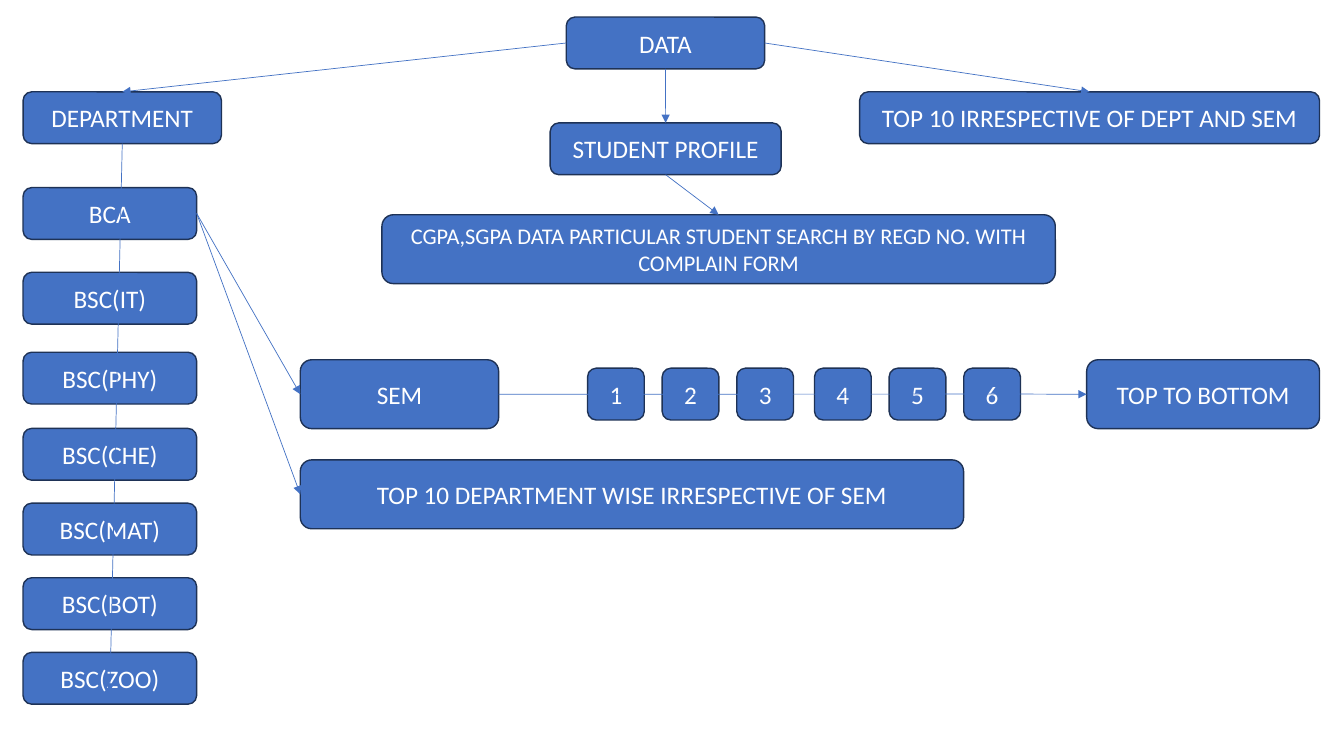
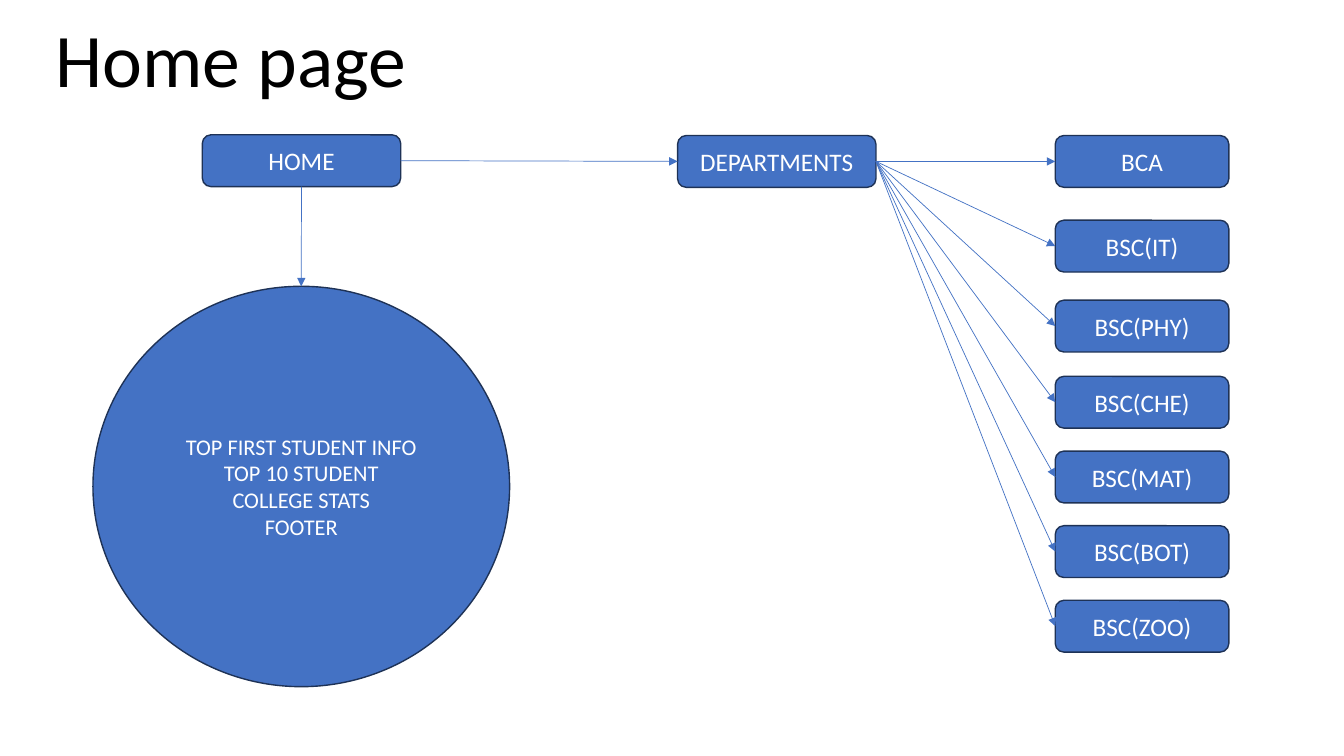
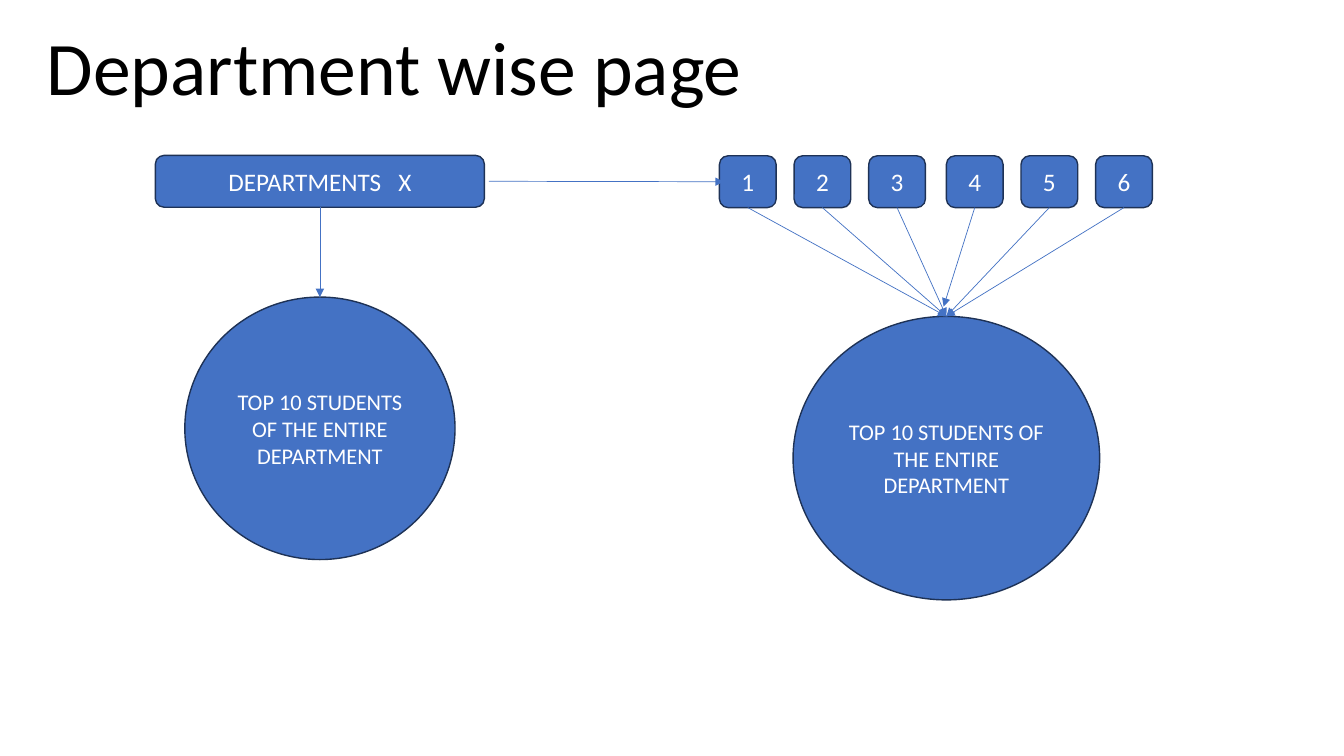
"""Builds three flow diagrams of a college results site."""
from dataclasses import dataclass

import lxml.etree
import pptx
import pptx.dml.color
import pptx.enum.shapes
import pptx.enum.text
import pptx.oxml.ns
import pptx.util

Pt = pptx.util.Pt
RGB = pptx.dml.color.RGBColor
SHAPE = pptx.enum.shapes.MSO_SHAPE
qn = pptx.oxml.ns.qn
TOP, LEFT, BOTTOM, RIGHT = range(4)

COURSES = ("BCA", "BSC(IT)", "BSC(PHY)", "BSC(CHE)", "BSC(MAT)", "BSC(BOT)", "BSC(ZOO)")
COURSE_OFFSETS = (0, 60.5, 117.6, 172, 225.4, 278.7, 332)
BOX_W, COURSE_W, NUMBER_W = 141.7, 124, 40.5
BOX_H, TALL_H = 37, 49.2


@dataclass(frozen=True)
class Theme:
    font: str = "Calibri"
    fill: RGB = RGB(0x44, 0x72, 0xC4)
    outline: RGB = RGB(0x1E, 0x32, 0x56)
    label: RGB = RGB(0xFF, 0xFF, 0xFF)
    title: RGB = RGB(0, 0, 0)
    title_size: int = 54
    label_size: int = 18
    detail_size: int = 16
    outline_width: float = 1
    link_width: float = 0.5


class Diagram:
    def __init__(self, prs, theme):
        self.prs, self.theme, self.s = prs, theme, None

    def slide(self):
        self.s = self.prs.slides.add_slide(self.prs.slide_layouts[6])

    def add_text(self, tf, lines, size, color):
        for i, line in enumerate(lines):
            p = tf.paragraphs[0] if i == 0 else tf.add_paragraph()
            p.alignment = pptx.enum.text.PP_ALIGN.CENTER
            for text in (line,) if isinstance(line, str) else line:
                r = p.add_run()
                r.text = text
                r.font.name = self.theme.font
                r.font.size = Pt(size)
                r.font.color.rgb = color

    def title(self, text, x, y, w):
        sp = self.s.shapes.add_textbox(Pt(x), Pt(y), Pt(w), Pt(72.7))
        tf = sp.text_frame
        tf.word_wrap = False
        tf.auto_size = pptx.enum.text.MSO_AUTO_SIZE.SHAPE_TO_FIT_TEXT
        self.add_text(tf, [text], self.theme.title_size, self.theme.title)

    def box(self, lines, x, y, w=BOX_W, h=BOX_H, size=None, kind=SHAPE.ROUNDED_RECTANGLE):
        sp = self.s.shapes.add_shape(kind, Pt(x), Pt(y), Pt(w), Pt(h))
        sp.shadow.inherit = False
        sp.fill.solid()
        sp.fill.fore_color.rgb = self.theme.fill
        sp.line.color.rgb = self.theme.outline
        sp.line.width = Pt(self.theme.outline_width)
        tf = sp.text_frame
        tf.word_wrap = True
        tf.vertical_anchor = pptx.enum.text.MSO_ANCHOR.MIDDLE
        self.add_text(tf, lines, size or self.theme.label_size, self.theme.label)
        return sp

    def circle(self, lines, x, y, w, h):
        return self.box(lines, x, y, w, h, self.theme.detail_size, SHAPE.OVAL)

    def courses(self, x, y):
        return [self.box([name], x, y + dy, COURSE_W) for name, dy in zip(COURSES, COURSE_OFFSETS)]

    def semesters(self, x, y):
        return [self.box([str(i + 1)], x + 53.3 * i + 2.2 * (i // 3), y, NUMBER_W) for i in range(6)]

    def link(self, start, start_side, end, end_side):
        c = self.s.shapes.add_connector(pptx.enum.shapes.MSO_CONNECTOR.STRAIGHT, 0, 0, 0, 0)
        if isinstance(start, tuple):
            c.begin_x, c.begin_y = map(Pt, start)
        else:
            c.begin_connect(start, start_side)
        if isinstance(end, tuple):
            c.end_x, c.end_y = map(Pt, end)
        else:
            c.end_connect(end, end_side)
        c.line.color.rgb = self.theme.fill
        c.line.width = Pt(self.theme.link_width)
        props = c._element.spPr
        lxml.etree.SubElement(props.find(qn("a:ln")), qn("a:tailEnd"), type="triangle")
        lxml.etree.SubElement(props, qn("a:effectLst"))


def data_map(d):
    d.slide()
    data = d.box(["DATA"], 404.5, 12.2)
    sem = d.box(["SEM"], 214.5, 257, h=TALL_H)
    numbers = d.semesters(419.7, 263)
    department = d.box(["DEPARTMENT"], 16.5, 65.6)
    courses = d.courses(16.5, 134)
    overall = d.box(["TOP 10 IRRESPECTIVE OF DEPT AND SEM"], 614, 65.6, 328.5)
    ranking = d.box(["TOP TO BOTTOM"], 776.2, 257, 166.3, TALL_H)
    by_department = d.box(["TOP 10 DEPARTMENT WISE IRRESPECTIVE OF SEM"], 214.5, 328.5, 473.8, TALL_H)
    profile = d.box(["STUDENT PROFILE"], 393, 87.8, 165)
    search = d.box(["CGPA,SGPA DATA PARTICULAR STUDENT SEARCH BY REGD NO. WITH COMPLAIN FORM"],
                   272.8, 153.4, 481, TALL_H, d.theme.detail_size)
    for link in (
        (data, LEFT, department, TOP),
        (data, RIGHT, overall, TOP),
        (data, BOTTOM, profile, TOP),
        (profile, BOTTOM, search, TOP),
        (department, BOTTOM, (78.5, 494), None),
        (courses[0], RIGHT, sem, LEFT),
        (courses[0], RIGHT, by_department, LEFT),
        (sem, RIGHT, numbers[-1], RIGHT),
        (numbers[-1], RIGHT, ranking, LEFT),
    ):
        d.link(*link)


def home_page(d):
    d.slide()
    home = d.box(["HOME"], 144.5, 96.3)
    contents = d.circle(["TOP FIRST STUDENT INFO", "TOP 10 STUDENT", "COLLEGE STATS", "FOOTER"],
                        66.4, 204.5, 297.6, 286)
    departments = d.box(["DEPARTMENTS"], 484, 96.8)
    d.link(home, BOTTOM, contents, TOP)
    d.link(home, RIGHT, departments, LEFT)
    for course in d.courses(753.8, 96.8):
        d.link(departments, RIGHT, course, LEFT)
    d.title("Home page", 31, 5, 268)


def department_page(d):
    d.slide()
    department = d.box([("DEPARTMENTS", " ", "X")], 111, 111, 235)
    space = department.text_frame.paragraphs[0].runs[1]
    space._r.get_or_add_rPr().set("spc", "800")
    numbers = d.semesters(513.9, 111.3)
    top_ten = ["TOP 10 STUDENTS OF THE ENTIRE DEPARTMENT"]
    department_top = d.circle(top_ten, 132, 212.2, 193, 187.5)
    semester_top = d.circle(top_ten, 566.5, 226, 219, 202.5)
    d.link((349.2, 129.5), None, (517, 129.8), None)
    d.link(department, BOTTOM, department_top, TOP)
    for i, number in enumerate(numbers):
        d.link(number, BOTTOM, (674, 219) if i == 3 else semester_top, TOP)
    d.title("Department wise page", 23.8, 10.8, 516)


def main():
    prs = pptx.Presentation()
    prs.slide_width, prs.slide_height = Pt(960), Pt(540)
    d = Diagram(prs, Theme())
    data_map(d)
    home_page(d)
    department_page(d)
    prs.save("out.pptx")


if __name__ == "__main__":
    main()
